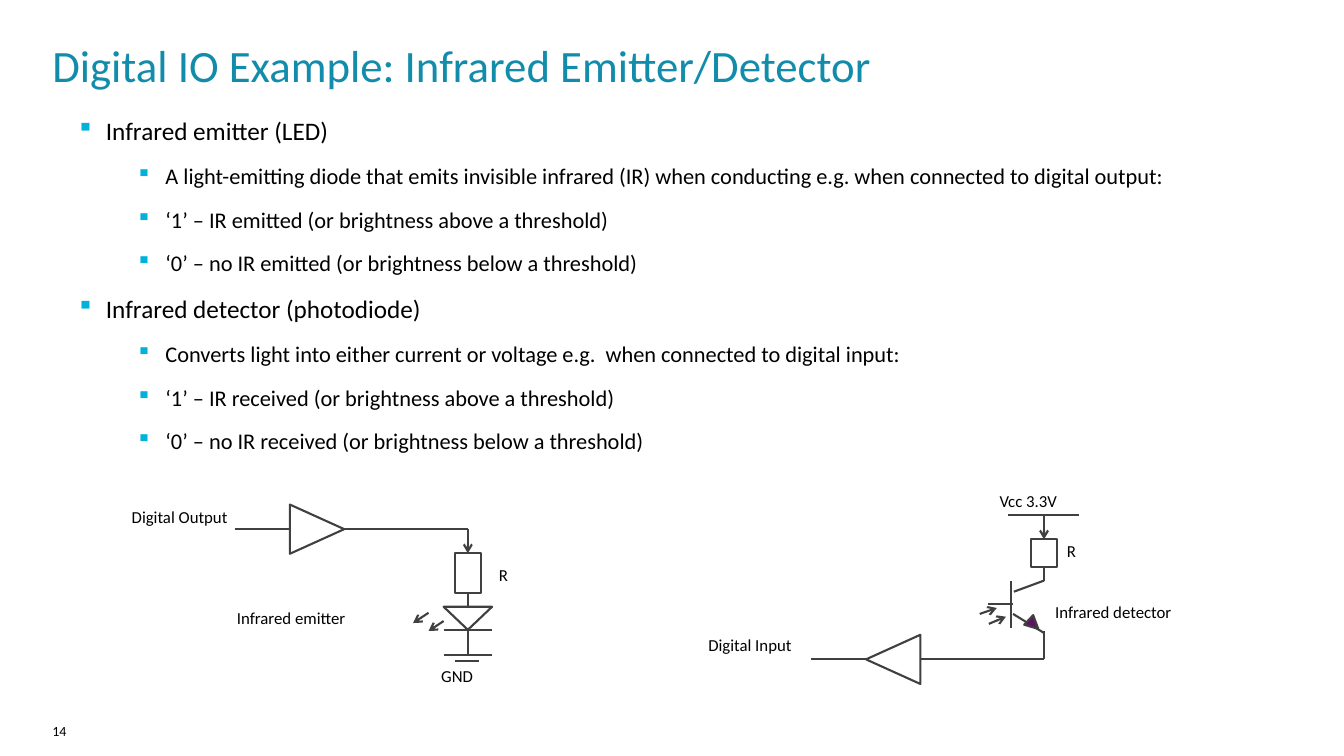
from dataclasses import dataclass

from lxml import etree
from pptx import Presentation
from pptx import util as u
from pptx.dml.color import RGBColor
from pptx.enum import shapes, text
from pptx.oxml.ns import qn


@dataclass
class Theme:
    font: str = "Calibri"
    title: str = "128CAB"
    body: str = "000000"
    bullet: str = "00B1DB"
    line: str = "404040"
    junction: str = "61116A"
    white: str = "FFFFFF"
    title_size: int = 32
    body_sizes: tuple = (18, 16)
    label_size: int = 12
    number_size: int = 10
    line_width: float = 1.5


theme = Theme()
prs = Presentation()
prs.slide_width, prs.slide_height = u.Cm(33.87), u.Cm(19.05)
s = prs.slides.add_slide(prs.slide_layouts[6])


def add_text(box, lines, size, color, wrap=True):
    tf = s.shapes.add_textbox(*map(u.Cm, box)).text_frame
    tf.word_wrap = wrap
    tf.vertical_anchor = text.MSO_ANCHOR.TOP
    if wrap:
        tf.margin_left = tf.margin_top = tf.margin_right = tf.margin_bottom = 0
    tf.text = "\n".join(lines)
    for p in tf.paragraphs:
        for r in p.runs:
            r.font.name, r.font.size = theme.font, u.Pt(size)
            r.font.color.rgb = RGBColor.from_string(color)
    return tf


def add_symbol(kind, box, rotation=0, fill=None):
    sp = s.shapes.add_shape(kind, *map(u.Cm, box))
    sp.rotation = rotation
    sp.shadow.inherit = False
    if fill:
        sp.fill.solid()
        sp.fill.fore_color.rgb = RGBColor.from_string(fill)
    else:
        sp.fill.background()
    sp.line.color.rgb = RGBColor.from_string(theme.line)
    sp.line.width = u.Pt(theme.line_width)
    return sp


# Title and slide number
add_text((1.32, 0.94, 30.99, 1.6), ["Digital IO Example: Infrared Emitter/Detector"],
         theme.title_size, theme.title)
add_text((1.32, 18.21, 3.61, 0.66), ["14"], theme.number_size, theme.body)

# Bulleted text: (level, wording)
bullets = [
    (0, "Infrared emitter (LED)"),
    (1, "A light-emitting diode that emits invisible infrared (IR) when conducting "
        "e.g. when connected to digital output:"),
    (1, "‘1’ – IR emitted (or brightness above a threshold)"),
    (1, "‘0’ – no IR emitted (or brightness below a threshold)"),
    (0, "Infrared detector (photodiode)"),
    (1, "Converts light into either current or voltage e.g.  when connected to digital input:"),
    (1, "‘1’ – IR received (or brightness above a threshold)"),
    (1, "‘0’ – no IR received (or brightness below a threshold)"),
]
tf = add_text((1.93, 2.9, 30, 9.83), [wording for _, wording in bullets],
              theme.body_sizes[0], theme.body)
for p, (level, _) in zip(tf.paragraphs, bullets):
    p.level = level
    p.space_before = u.Pt(12)
    p.runs[0].font.size = u.Pt(theme.body_sizes[level])
    pPr = p._p.get_or_add_pPr()
    pPr.set("marL", str(u.Cm(0.74 + 1.5 * level)))
    pPr.set("indent", str(u.Cm(-0.74)))
    color = etree.SubElement(pPr, qn("a:buClr"))
    etree.SubElement(color, qn("a:srgbClr"), val=theme.bullet)
    etree.SubElement(pPr, qn("a:buSzPct"), val="95000")
    etree.SubElement(pPr, qn("a:buChar"), char="▪")

# Buffers, LED and resistors
TRIANGLE, RECT = shapes.MSO_SHAPE.ISOSCELES_TRIANGLE, shapes.MSO_SHAPE.RECTANGLE
add_symbol(TRIANGLE, (7.37, 12.65, 1.24, 1.37), 90)
add_symbol(TRIANGLE, (21.89, 15.93, 1.24, 1.37), 270)
add_symbol(TRIANGLE, (11.18, 15.29, 1.22, 0.58), 180)
r_led = add_symbol(RECT, (11.46, 13.94, 0.66, 1))
r_det = add_symbol(RECT, (25.98, 13.59, 0.66, 0.69), fill=theme.white)

# Wires: (x1, y1, x2, y2, arrow, resistor at start, resistor at end)
led_x, det_x = 11.79, 26.31
wires = [
    # Emitter circuit
    (5.92, 13.34, 7.32, 13.34, False, None, None),
    (8.66, 13.34, led_x, 13.34, False, None, None),
    (led_x, 13.34, led_x, 13.94, True, None, r_led),
    (led_x, 14.94, led_x, 15.29, False, r_led, None),
    (11.18, 15.88, 12.4, 15.88, False, None, None),
    (led_x, 15.88, led_x, 16.51, False, None, None),
    (11.18, 16.51, 12.4, 16.51, False, None, None),
    (11.46, 16.66, 12.07, 16.66, False, None, None),
    # Emitted light
    (10.8, 15.44, 10.41, 15.7, True, None, None),
    (11.18, 15.65, 10.8, 15.9, True, None, None),
    # Detector circuit
    (25.4, 12.98, 27.18, 12.98, False, None, None),
    (det_x, 12.98, det_x, 13.59, True, None, r_det),
    (det_x, 14.28, det_x, 14.63, False, r_det, None),
    (25.55, 14.91, det_x, 14.63, False, None, None),
    (25.48, 15.82, 25.48, 14.63, False, None, None),
    (24.89, 15.21, 25.53, 15.21, False, None, None),
    (25.53, 15.47, det_x, 15.95, False, None, None),
    (det_x, 16.61, det_x, 15.9, False, None, None),
    (23.22, 16.61, det_x, 16.61, False, None, None),
    (20.45, 16.61, 21.84, 16.61, False, None, None),
    # Received light
    (24.92, 15.72, 25.35, 15.54, True, None, None),
    (24.69, 15.47, 25.12, 15.32, True, None, None),
]
for x1, y1, x2, y2, arrow, start, end in wires:
    c = s.shapes.add_connector(shapes.MSO_CONNECTOR.STRAIGHT, *map(u.Cm, (x1, y1, x2, y2)))
    if start:
        c.begin_connect(start, 2)
    if end:
        c.end_connect(end, 0)
    c.line.color.rgb = RGBColor.from_string(theme.line)
    c.line.width = u.Pt(theme.line_width)
    if arrow:
        etree.SubElement(c.line._get_or_add_ln(), qn("a:tailEnd"), type="arrow")
    etree.SubElement(c.element.spPr, qn("a:effectLst"))

# Transistor junction arrow, above its wire
add_symbol(TRIANGLE, (25.88, 15.57, 0.33, 0.33), 133.1, theme.junction)

# Labels: (wording, left, top, width)
labels = [
    ("Digital Output", 3.07, 12.65, 3.1),
    ("R", 12.32, 14.1, 0.81),
    ("Infrared emitter", 5.72, 15.19, 3.4),
    ("GND", 10.87, 16.66, 1.47),
    ("Vcc 3.3V", 24.94, 12.24, 2.24),
    ("R", 26.64, 13.51, 0.81),
    ("Infrared detector", 26.34, 15.04, 3.63),
    ("Digital Input", 17.6, 15.88, 2.77),
]
for wording, left, top, width in labels:
    add_text((left, top, width, 0.76), [wording], theme.label_size, theme.body, wrap=False)

prs.save("out.pptx")
